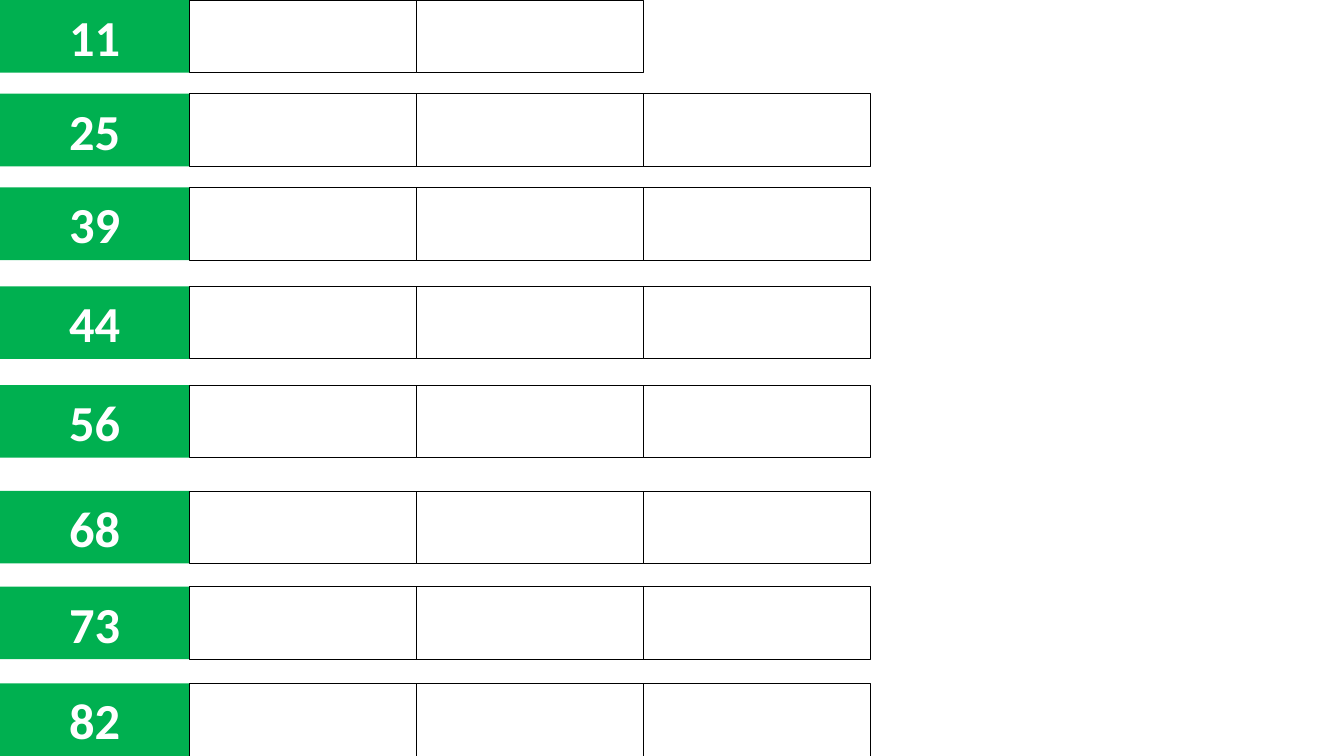
"""Build a slide of numbered green labels, each followed by a row of empty boxes."""
from pptx import Presentation, util as u
from pptx.dml.color import RGBColor
from pptx.enum import shapes, text

PX = 9144
COLORS = {"label": "00B050", "box": "FFFFFF", "line": "000000", "number": "FFFFFF"}
LABEL_W, BOX_W, ROW_H = 188, 225, 72
ROWS = [
    ("11", 0, 2),
    ("25", 93, 3),
    ("39", 186, 3),
    ("44", 284, 3),
    ("56", 382, 3),
    ("68", 487, 3),
    ("73", 582, 3),
    ("82", 678, 3),
]

prs = Presentation()
prs.slide_width, prs.slide_height = 1333 * PX, 750 * PX
s = prs.slides.add_slide(prs.slide_layouts[6])


def add_rect(left, top, width, fill):
    sp = s.shapes.add_shape(shapes.MSO_SHAPE.RECTANGLE,
                            left * PX, top * PX, width * PX, ROW_H * PX)
    sp.shadow.inherit = False
    sp.fill.solid()
    sp.fill.fore_color.rgb = RGBColor.from_string(COLORS[fill])
    return sp


for number, top, box_count in ROWS:
    label = add_rect(0, top, LABEL_W, "label")
    label.line.fill.background()
    tf = label.text_frame
    tf.vertical_anchor = text.MSO_ANCHOR.MIDDLE
    p = tf.paragraphs[0]
    p.text = number
    p.alignment = text.PP_ALIGN.CENTER
    p.font.name = "Calibri"
    p.font.size = u.Pt(36)
    p.font.bold = True
    p.font.color.rgb = RGBColor.from_string(COLORS["number"])

    for col in range(box_count):
        box = add_rect(LABEL_W + col * BOX_W, top, BOX_W, "box")
        box.line.color.rgb = RGBColor.from_string(COLORS["line"])
        box.line.width = u.Pt(0.5)

prs.save("out.pptx")
